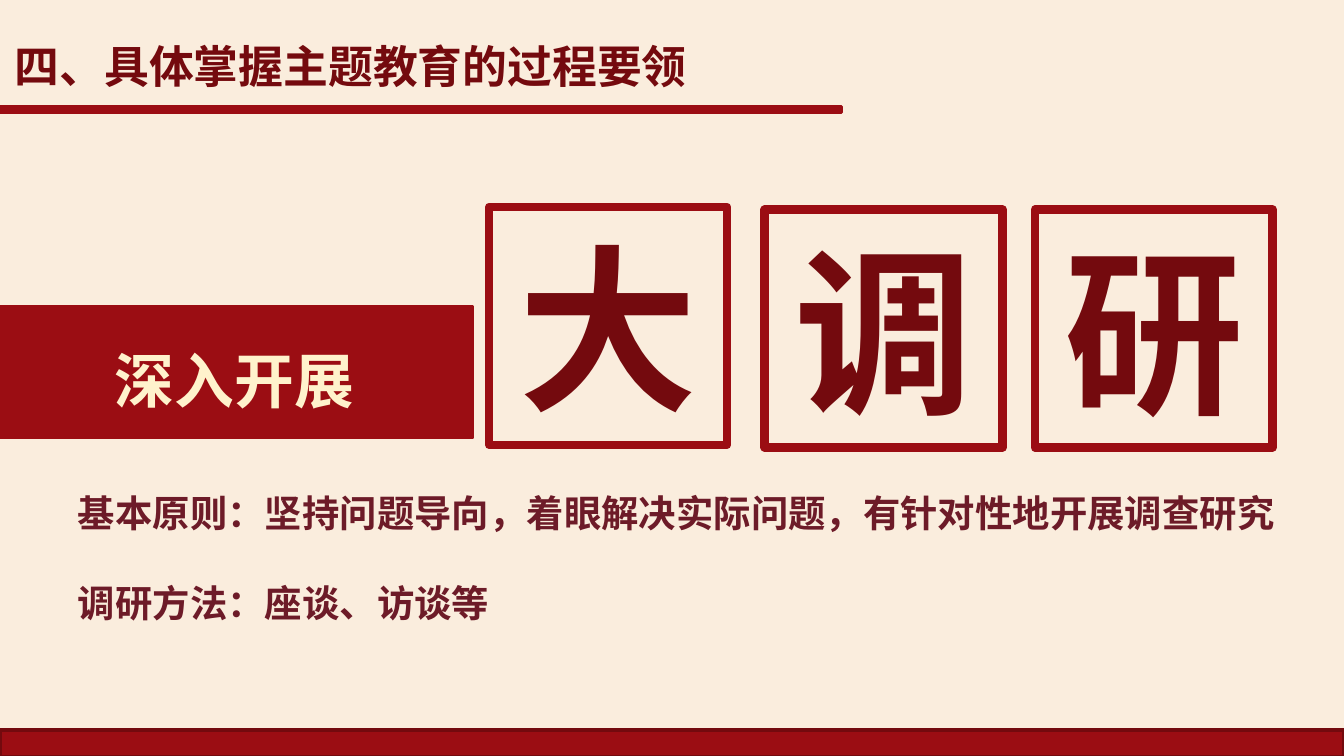
from dataclasses import dataclass

from lxml import etree
from pptx import Presentation
from pptx.dml import color
from pptx.enum import shapes, text
from pptx.oxml import ns
from pptx.util import Inches, Pt


@dataclass(frozen=True)
class Theme:
    paper: str = "FAEDDD"
    red: str = "9B0D13"
    dark_red: str = "730A0E"
    heading: str = "740A0E"
    body: str = "6D1B28"
    cream: str = "FFF2CC"
    latin: str = "Arial"
    chinese: str = "Noto Sans CJK SC"
    title_size: int = 24
    body_size: int = 20
    banner_size: int = 32
    tile_size: int = 96


@dataclass(frozen=True)
class Area:
    left: float
    top: float
    width: float
    height: float


@dataclass(frozen=True)
class Bar:
    area: Area
    line: str
    weight: float


@dataclass(frozen=True)
class Tile:
    character: str
    left: float
    top: float


@dataclass(frozen=True)
class TextStyle:
    size: int
    ink: str
    face: str
    align: text.PP_ALIGN = text.PP_ALIGN.LEFT
    spacing: float = 1.0


THEME = Theme()
CENTER = text.PP_ALIGN.CENTER
PAGE_WIDTH = 10
PAGE_HEIGHT = PAGE_WIDTH * 9 / 16
TILE_SIDE = 1.77
BANNER = Area(-0.03, 2.28, 3.55, 0.98)
BARS = [
    Bar(Area(0, 5.43, PAGE_WIDTH, 0.2), THEME.dark_red, 2),
    Bar(Area(0, 0.79, 6.26, 0.05), THEME.red, 1.5),
    Bar(BANNER, THEME.red, 1.5),
]
TILES = [Tile("大", 3.64, 1.54), Tile("调", 5.69, 1.56), Tile("研", 7.7, 1.56)]
TITLE_STYLE = TextStyle(THEME.title_size, THEME.heading, THEME.chinese, spacing=1.2)
BODY_STYLE = TextStyle(THEME.body_size, THEME.body, THEME.chinese)
BANNER_STYLE = TextStyle(THEME.banner_size, THEME.cream, THEME.latin, CENTER, 1.2)
TILE_STYLE = TextStyle(THEME.tile_size, THEME.heading, THEME.latin, CENTER)


def rgb(value: str) -> color.RGBColor:
    return color.RGBColor.from_string(value)


def apply(target, values: dict) -> None:
    for name, value in values.items():
        setattr(target, name, value)


def place(box, area: Area) -> None:
    apply(box, {"left": Inches(area.left), "top": Inches(area.top),
                "width": Inches(area.width), "height": Inches(area.height)})


def write(box, lines: list[str], style: TextStyle, anchor: text.MSO_ANCHOR, gap: float = 0) -> None:
    frame = box.text_frame
    apply(frame, {"word_wrap": True, "auto_size": text.MSO_AUTO_SIZE.NONE,
                  "vertical_anchor": anchor})
    for index, line in enumerate(lines):
        para = frame.paragraphs[0] if index == 0 else frame.add_paragraph()
        apply(para, {"alignment": style.align, "line_spacing": style.spacing,
                     "space_before": Pt(gap if index else 0), "space_after": Pt(0)})
        properties = para._p.get_or_add_pPr()
        properties.set("marL", "0")
        properties.set("indent", "0")
        etree.SubElement(properties, ns.qn("a:buNone"))
        span = para.add_run()
        span.text = line
        apply(span.font, {"size": Pt(style.size), "bold": True, "name": style.face})
        span.font.color.rgb = rgb(style.ink)
        east_asian = etree.SubElement(span._r.get_or_add_rPr(), ns.qn("a:ea"))
        east_asian.set("typeface", THEME.chinese)


def add_rectangle(page, area: Area, line: str, weight: float):
    box = page.shapes.add_shape(
        shapes.MSO_SHAPE.RECTANGLE, Inches(area.left), Inches(area.top),
        Inches(area.width), Inches(area.height))
    box.shadow.inherit = False
    box.line.color.rgb = rgb(line)
    box.line.width = Pt(weight)
    return box


def draw_bar(page, bar: Bar) -> None:
    box = add_rectangle(page, bar.area, bar.line, bar.weight)
    box.fill.solid()
    box.fill.fore_color.rgb = rgb(THEME.red)


def draw_tile(page, tile: Tile) -> None:
    box = add_rectangle(page, Area(tile.left, tile.top, TILE_SIDE, TILE_SIDE), THEME.red, 4.5)
    box.fill.background()
    write(box, [tile.character], TILE_STYLE, text.MSO_ANCHOR.MIDDLE)


def main() -> None:
    deck = Presentation()
    apply(deck, {"slide_width": Inches(PAGE_WIDTH), "slide_height": Inches(PAGE_HEIGHT)})
    page = deck.slides.add_slide(deck.slide_layouts[1])
    page.background.fill.solid()
    page.background.fill.fore_color.rgb = rgb(THEME.paper)

    for bar in BARS:
        draw_bar(page, bar)

    title, body = page.shapes.title, page.placeholders[1]
    place(title, Area(0.01, 0.13, 5.58, 0.63))
    write(title, ["四、具体掌握主题教育的过程要领"], TITLE_STYLE, text.MSO_ANCHOR.MIDDLE)
    place(body, Area(0.48, 3.6, 9.2, 1.11))
    write(body, ["基本原则：坚持问题导向，着眼解决实际问题，有针对性地开展调查研究",
                 "调研方法：座谈、访谈等"], BODY_STYLE, text.MSO_ANCHOR.TOP, gap=24)

    label = page.shapes.add_textbox(0, 0, 0, 0)
    place(label, Area(BANNER.left, 2.4, BANNER.width, 0.75))
    write(label, ["深入开展"], BANNER_STYLE, text.MSO_ANCHOR.TOP)

    for tile in TILES:
        draw_tile(page, tile)

    deck.save("out.pptx")


if __name__ == "__main__":
    main()
